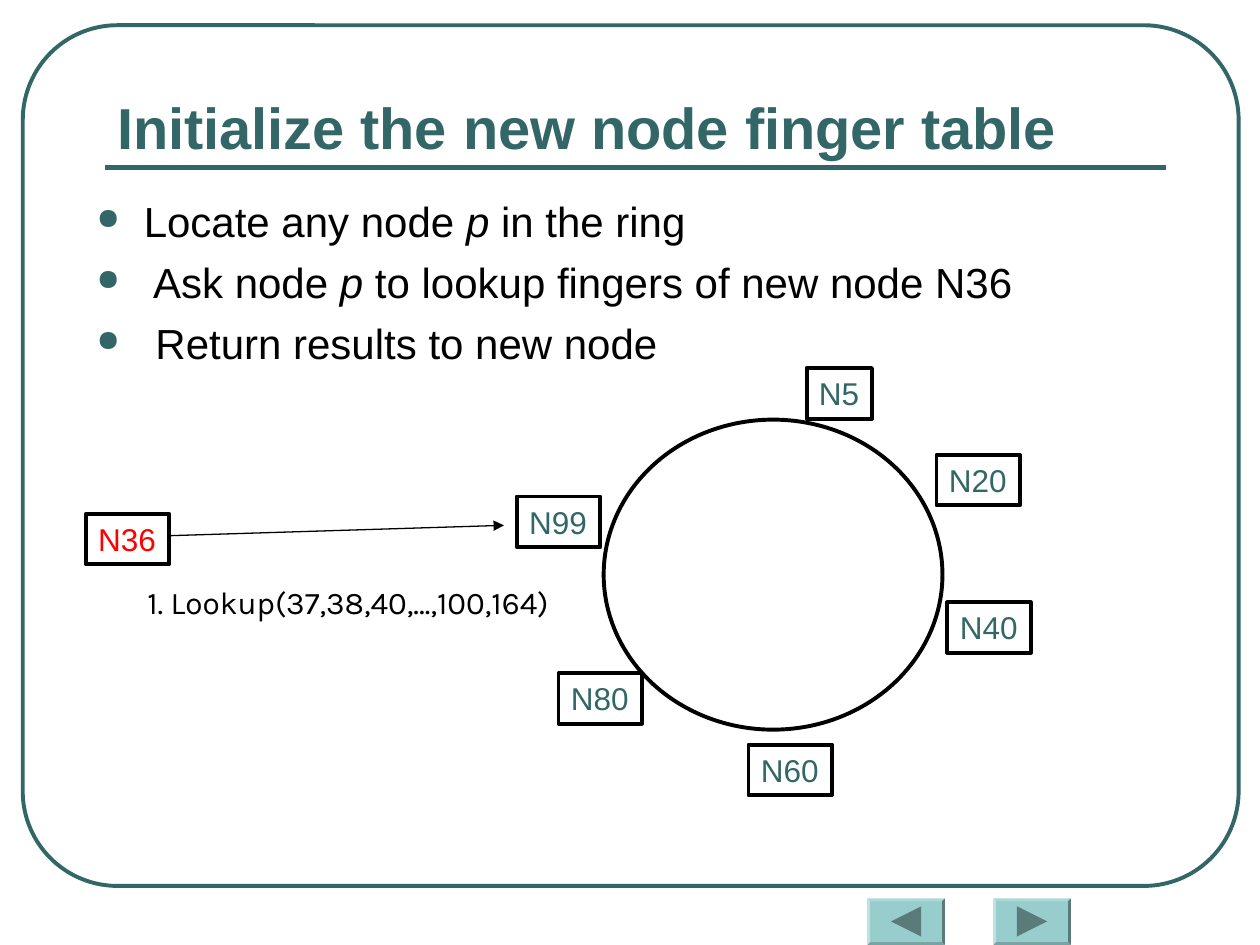
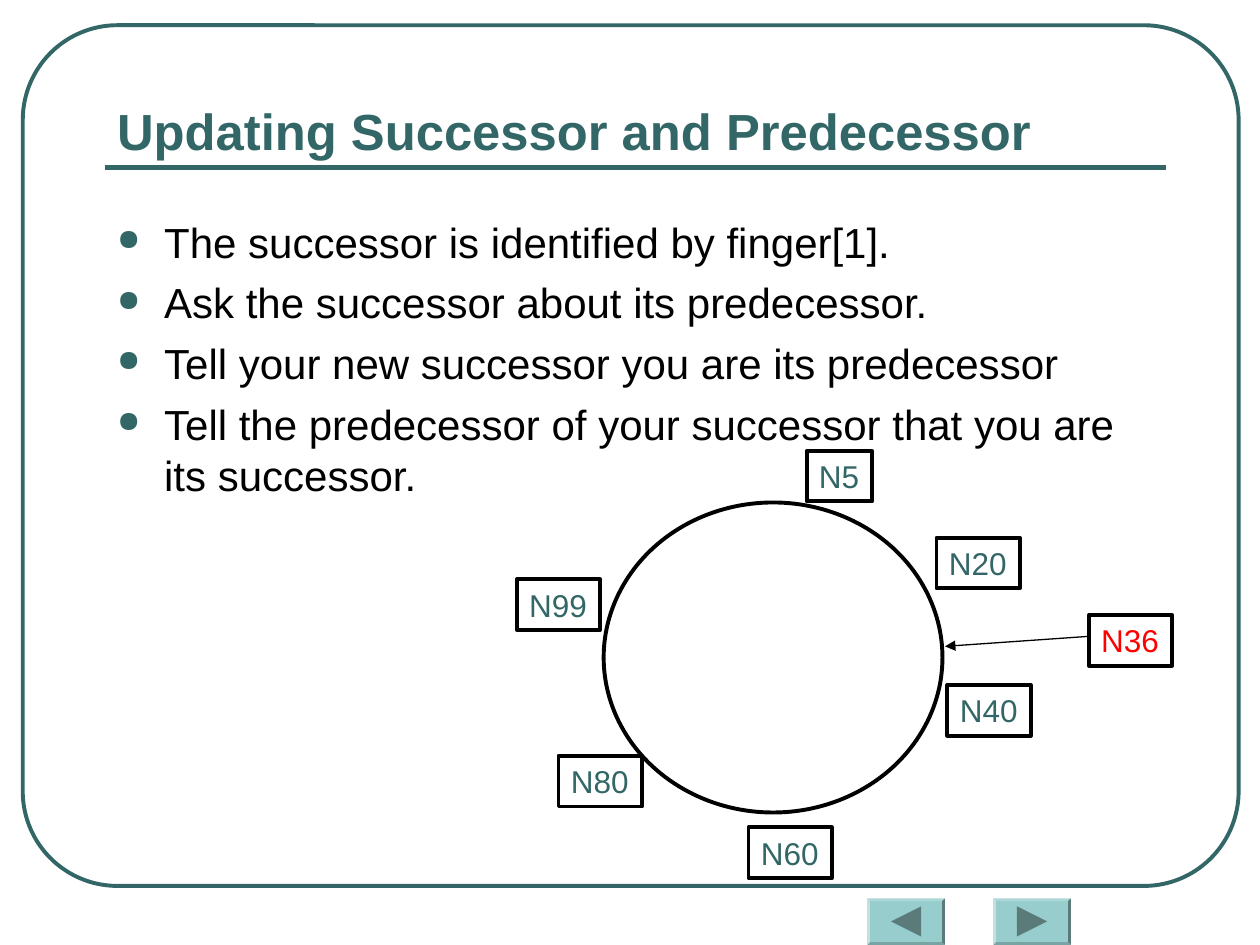
import dataclasses

import lxml.etree
import pptx
import pptx.dml.color
import pptx.enum.shapes
import pptx.enum.text
import pptx.oxml.ns
import pptx.util

Cm = pptx.util.Cm
Pt = pptx.util.Pt
SHAPE = pptx.enum.shapes.MSO_SHAPE
qn = pptx.oxml.ns.qn


@dataclasses.dataclass(frozen=True)
class Theme:
    teal: str = "336666"
    black: str = "000000"
    red: str = "FF0000"
    button: str = "97CDCC"
    button_icon: str = "5B7B7A"
    font: str = "Arial"
    call_font: str = "Karla"
    body_size: int = 24
    label_size: int = 18
    border: float = 2.25
    underline: float = 3
    arrow: float = 0.75


THEME = Theme()
RING_LEFT, RING_WIDTH, RING_HEIGHT = 12.17, 6.83, 6.25
NODE_HEIGHT = 1.02
RING_NODES = {
    "N60": (2.92, 6.55),
    "N40": (6.93, 3.68),
    "N5": (4.09, -1.04),
    "N20": (6.71, 0.71),
    "N99": (-1.75, 1.55),
    "N80": (-0.91, 5.11),
}


def set_values(target, values):
    for name, value in values.items():
        setattr(target, name, value)


def rgb(color):
    return pptx.dml.color.RGBColor.from_string(color)


def set_line(line, color, width):
    line.color.rgb = rgb(color)
    line.width = Pt(width)


def add_outline(page, kind, place, color=THEME.black):
    shape = page.shapes.add_shape(kind, *map(Cm, place))
    shape.shadow.inherit = False
    shape.fill.background()
    set_line(shape.line, color, THEME.border)
    return shape


def add_solid(page, kind, place, color):
    shape = page.shapes.add_shape(kind, *map(Cm, place))
    shape.shadow.inherit = False
    shape.fill.solid()
    shape.fill.fore_color.rgb = rgb(color)
    shape.line.fill.background()
    return shape


def add_line(page, start, end, color, width, arrow=False):
    line = page.shapes.add_connector(
        pptx.enum.shapes.MSO_CONNECTOR.STRAIGHT, *map(Cm, start + end))
    set_line(line.line, color, width)
    if arrow:
        lxml.etree.SubElement(line.line._get_or_add_ln(), qn("a:tailEnd"), type="triangle")
    lxml.etree.SubElement(line._element.spPr, qn("a:effectLst"))


def add_span(para, text, color, size, font=THEME.font, **extra):
    span = para.add_run()
    span.text = text
    set_values(span.font, {"name": font, "size": Pt(size), **extra})
    span.font.color.rgb = rgb(color)


def write_label(shape, text, color, font=THEME.font):
    frame = shape.text_frame
    set_values(frame, {
        "word_wrap": False,
        "auto_size": pptx.enum.text.MSO_AUTO_SIZE.SHAPE_TO_FIT_TEXT,
        "vertical_anchor": pptx.enum.text.MSO_ANCHOR.TOP,
    })
    para = frame.paragraphs[0]
    para.alignment = pptx.enum.text.PP_ALIGN.LEFT
    add_span(para, text, color, THEME.label_size, font)


def add_text_box(page, place):
    box = page.shapes.add_textbox(*map(Cm, place))
    box.text_frame.word_wrap = True
    return box


def add_title(page, text, size):
    box = add_text_box(page, (2.11, 1.47, 21.39, 1.9))
    box.text_frame.vertical_anchor = pptx.enum.text.MSO_ANCHOR.BOTTOM
    add_span(box.text_frame.paragraphs[0], text, THEME.teal, size, bold=True)


def add_bullet(para):
    properties = para._p.get_or_add_pPr()
    indent = Cm(0.95)
    properties.set("marL", str(indent))
    properties.set("indent", str(-indent))
    color = lxml.etree.SubElement(properties, qn("a:buClr"))
    lxml.etree.SubElement(color, qn("a:srgbClr"), val=THEME.teal)
    lxml.etree.SubElement(properties, qn("a:buSzPct"), val="70000")
    lxml.etree.SubElement(properties, qn("a:buChar"), char="●")


def add_bullets(page, left, top, items):
    frame = add_text_box(page, (left, top, 21.39, 12.27)).text_frame
    for index, spans in enumerate(items):
        para = frame.add_paragraph() if index else frame.paragraphs[0]
        para.space_before = Pt(6)
        add_bullet(para)
        for position, text in enumerate(spans):
            add_span(para, text, THEME.black, THEME.body_size, italic=position % 2 == 1)


def add_node(page, name, left, top, color=THEME.teal):
    width = 1.68 if len(name) > 2 else 1.32
    node = add_outline(page, SHAPE.RECTANGLE, (left, top, width, NODE_HEIGHT))
    write_label(node, name, color)


def add_ring(page, top):
    add_outline(page, SHAPE.OVAL, (RING_LEFT, top, RING_WIDTH, RING_HEIGHT))
    for name, (right, down) in RING_NODES.items():
        add_node(page, name, RING_LEFT + right, top + down)


def add_button(page, left, rotation):
    top = 18.11
    button = add_solid(page, SHAPE.BEVEL, (left, top, 1.57, 0.94), THEME.button)
    button.adjustments[0] = 0.06
    icon = add_solid(page, SHAPE.ISOSCELES_TRIANGLE,
                     (left + 0.48, top + 0.16, 0.61, 0.61), THEME.button_icon)
    icon.rotation = rotation


def add_page(deck, title, title_size):
    page = deck.slides.add_slide(deck.slide_layouts[6])
    frame = add_outline(page, SHAPE.ROUNDED_RECTANGLE, (0.46, 0.51, 24.51, 17.35), THEME.teal)
    frame.adjustments[0] = 0.11
    add_line(page, (2.11, 3.38), (23.5, 3.38), THEME.teal, THEME.underline)
    add_button(page, 17.48, 270)
    add_button(page, 20.02, 90)
    add_title(page, title, title_size)
    return page


def add_finger_table_page(deck):
    page = add_page(deck, "Initialize the new node finger table", 33)
    add_bullets(page, 1.7, 3.81, [
        ("Locate any node ", "p", " in the ring"),
        (" Ask node ", "p", " to lookup fingers of new node N36"),
        (" Return results to new node",),
    ])
    add_node(page, "N36", 1.73, 10.36, THEME.red)
    call = add_text_box(page, (2.72, 11.63, 9.53, NODE_HEIGHT))
    write_label(call, "1. Lookup(37,38,40,…,100,164)", THEME.black, THEME.call_font)
    add_line(page, (3.38, 10.8), (10.16, 10.59), THEME.black, THEME.arrow, arrow=True)
    add_ring(page, 8.46)


def add_successor_page(deck):
    page = add_page(deck, "Updating Successor and Predecessor", 29)
    add_bullets(page, 2.11, 4.23, [
        ("The successor is identified by finger[1].",),
        ("Ask the successor about its predecessor.",),
        ("Tell your new successor you are its predecessor",),
        ("Tell the predecessor of your successor that you are its successor.",),
    ])
    add_node(page, "N36", 21.95, 12.4, THEME.red)
    add_line(page, (21.92, 12.83), (19.05, 13.03), THEME.black, THEME.arrow, arrow=True)
    add_ring(page, 10.13)


def main():
    deck = pptx.Presentation()
    set_values(deck, {"slide_width": Cm(25.4), "slide_height": Cm(19.05)})
    add_finger_table_page(deck)
    add_successor_page(deck)
    deck.save("out.pptx")


if __name__ == "__main__":
    main()
